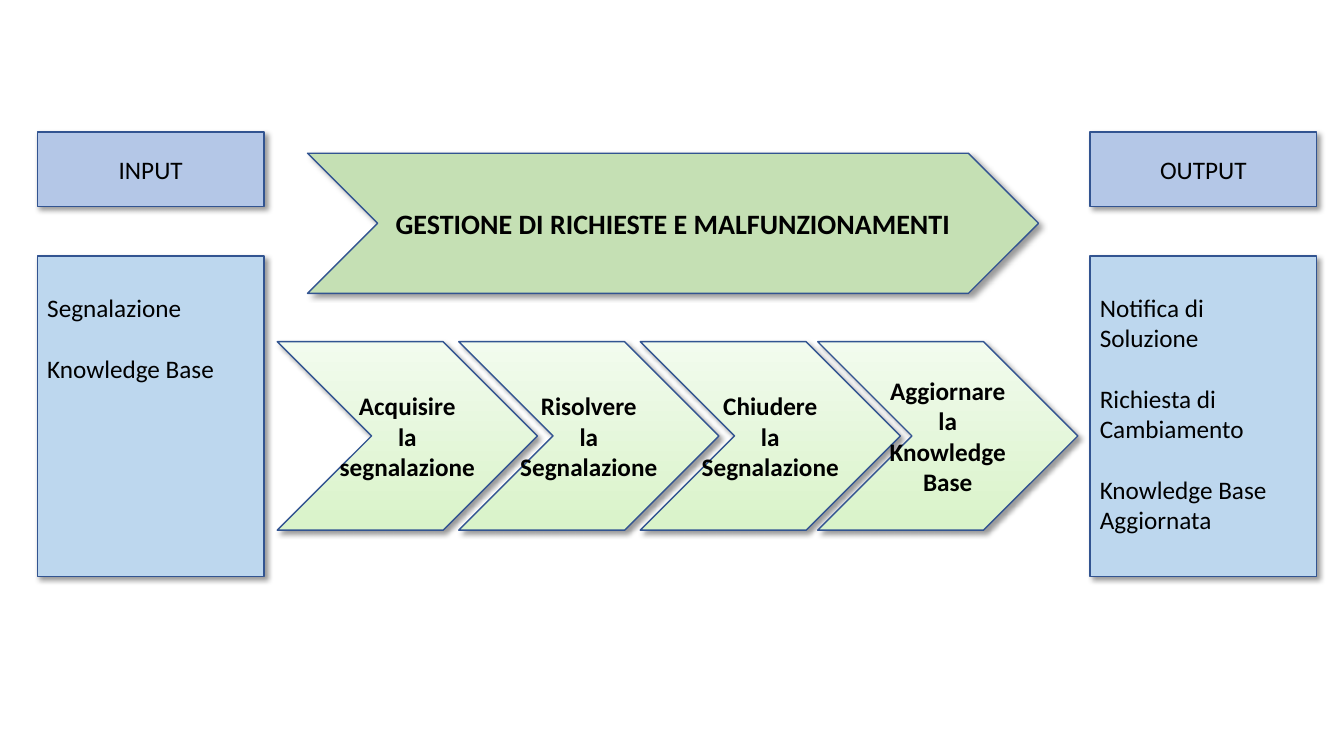
import pptx
import pptx.dml.color
import pptx.enum.shapes
import pptx.enum.text
import pptx.oxml
import pptx.oxml.ns
import pptx.util

COLOURS = {
    "outline": "325491",
    "heading": "B4C7E7",
    "panel": "BDD7EE",
    "process": "C5E0B4",
    "step_bottom": "D9F3C9",
    "step_top": "F2FBEE",
    "text": "000000",
}
FONT = "Calibri"
CELL = 0.1  # side of a grid cell, in inches
TEXT_LINE = 22  # height of a line of 18 pt text, in points

# Columns and rows of the grid
INPUT_COL, OUTPUT_COL, SIDE_COLS = 3.7, 108.1, 22.5
HEADING_ROW, HEADING_ROWS = 13.1, 7.4
PANEL_ROW, PANEL_ROWS = 25.4, 31.8
STEP_ROW, STEP_COLS, STEP_ROWS = 33.9, 25.8, 18.7

SIDES = [
    (INPUT_COL, "INPUT", ["Segnalazione", "Knowledge Base"]),
    (OUTPUT_COL, "OUTPUT", ["Notifica di Soluzione", "Richiesta di Cambiamento",
                            "Knowledge Base Aggiornata"]),
]
STEPS = [
    (27.5, ["Acquisire", "la", "segnalazione"]),
    (45.5, ["Risolvere", "la", "Segnalazione"]),
    (63.5, ["Chiudere", "la", "Segnalazione"]),
    (81.1, ["Aggiornare", "la", "Knowledge", "Base"]),
]


def rgb(name):
    return pptx.dml.color.RGBColor.from_string(COLOURS[name])


def grid(cells):
    return pptx.util.Inches(cells * CELL)


def add_shadow(shape):
    shape.shadow.inherit = False
    effects = shape._element.spPr.find(pptx.oxml.ns.qn("a:effectLst"))
    effects.append(pptx.oxml.parse_xml(
        f'<a:outerShdw {pptx.oxml.ns.nsdecls("a")} blurRad="50800" dist="38100" '
        'dir="2700000" algn="tl" rotWithShape="0">'
        '<a:srgbClr val="000000"><a:alpha val="40000"/></a:srgbClr></a:outerShdw>'))


def add_block(slide, kind, col, row, cols, rows, fill=None):
    """Outlined block with a shadow; a gradient when no fill is named."""
    block = slide.shapes.add_shape(kind, grid(col), grid(row), grid(cols), grid(rows))
    if fill:
        block.fill.solid()
        block.fill.fore_color.rgb = rgb(fill)
    else:
        block.fill.gradient()
        block.fill.gradient_angle = 90
        for stop, name in zip(block.fill.gradient_stops, ("step_bottom", "step_top")):
            stop.color.rgb = rgb(name)
    block.line.color.rgb = rgb("outline")
    block.line.width = pptx.util.Pt(1)
    add_shadow(block)
    block.text_frame.word_wrap = True
    return block


def add_run(paragraph, text, size=18, bold=False):
    run = paragraph.add_run()
    run.text = text
    run.font.name = FONT
    run.font.size = pptx.util.Pt(size)
    run.font.bold = bold
    run.font.color.rgb = rgb("text")


def add_label(block, lines, size=18, bold=False):
    """Centred label, with a line break between its lines."""
    block.text_frame.vertical_anchor = pptx.enum.text.MSO_ANCHOR.MIDDLE
    label = block.text_frame.paragraphs[0]
    label.alignment = pptx.enum.text.PP_ALIGN.CENTER
    for index, line in enumerate(lines):
        if index:
            label.add_line_break()
        add_run(label, line, size, bold)


def add_items(panel, items):
    """Left-aligned items, one text line apart, from the top of the panel."""
    frame = panel.text_frame
    frame.vertical_anchor = pptx.enum.text.MSO_ANCHOR.TOP
    frame.margin_top = pptx.util.Inches(0.05) + pptx.util.Pt(TEXT_LINE)
    for index, text in enumerate(items):
        item = frame.add_paragraph() if index else frame.paragraphs[0]
        item.alignment = pptx.enum.text.PP_ALIGN.LEFT
        if index:
            item.space_before = pptx.util.Pt(TEXT_LINE)
        add_run(item, text)


def add_side(slide, col, heading, items):
    rectangle = pptx.enum.shapes.MSO_SHAPE.RECTANGLE
    title = add_block(slide, rectangle, col, HEADING_ROW, SIDE_COLS, HEADING_ROWS, "heading")
    add_label(title, [heading])
    panel = add_block(slide, rectangle, col, PANEL_ROW, SIDE_COLS, PANEL_ROWS, "panel")
    add_items(panel, items)


def add_step(slide, col, lines):
    step = add_block(slide, pptx.enum.shapes.MSO_SHAPE.CHEVRON,
                     col, STEP_ROW, STEP_COLS, STEP_ROWS)
    step.text_frame.word_wrap = False
    add_label(step, lines, bold=True)


def main():
    deck = pptx.Presentation()
    deck.slide_width = pptx.util.Inches(13.33)
    deck.slide_height = pptx.util.Inches(7.5)
    slide = deck.slides.add_slide(deck.slide_layouts[6])

    # Input and output columns
    for col, heading, items in SIDES:
        add_side(slide, col, heading, items)

    # Overall process
    process = add_block(slide, pptx.enum.shapes.MSO_SHAPE.CHEVRON,
                        30.5, 15.2, 72.5, 13.9, "process")
    add_label(process, ["GESTIONE DI RICHIESTE E MALFUNZIONAMENTI"], size=20, bold=True)

    # Steps of the process
    for col, lines in STEPS:
        add_step(slide, col, lines)

    deck.save("out.pptx")


if __name__ == "__main__":
    main()
